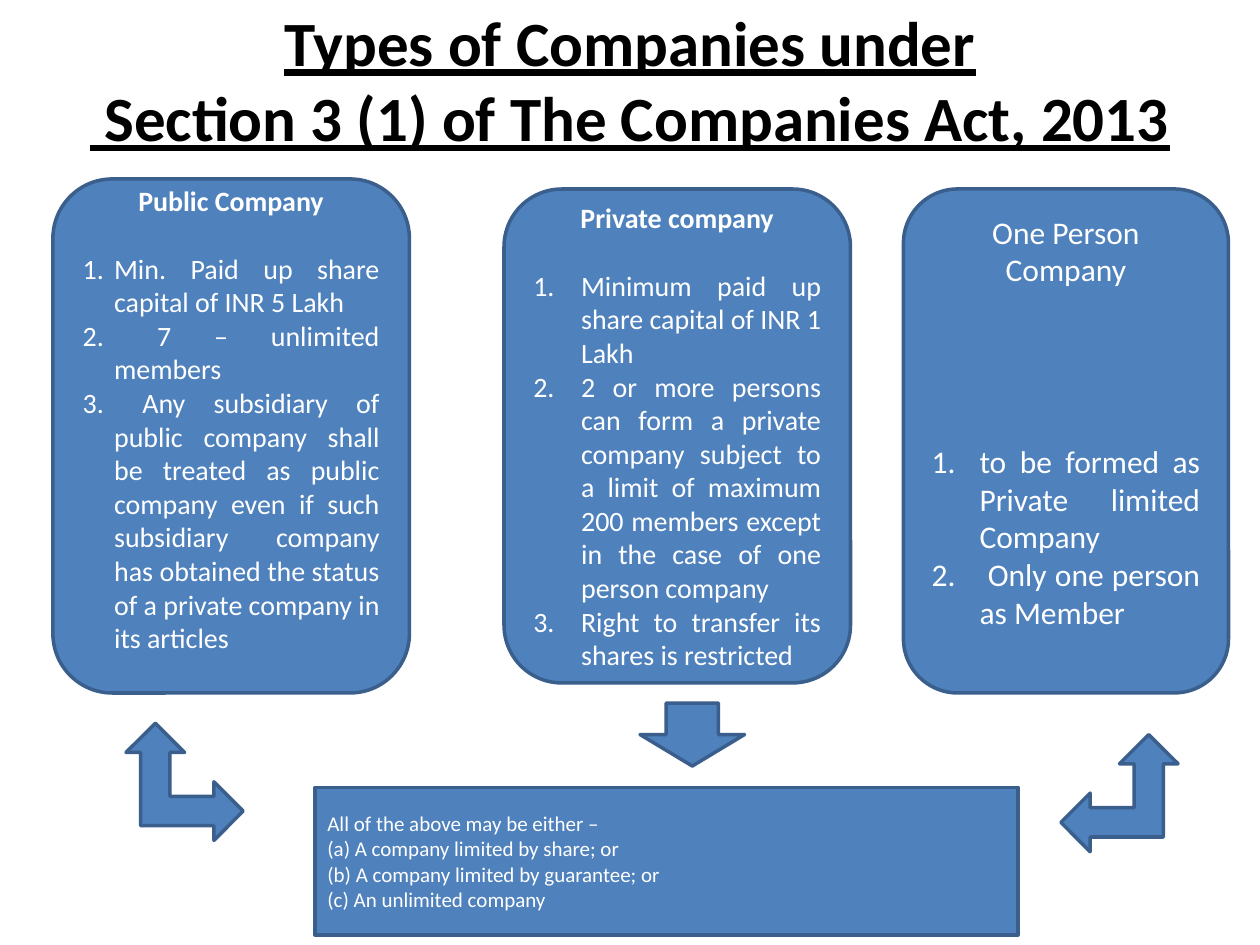
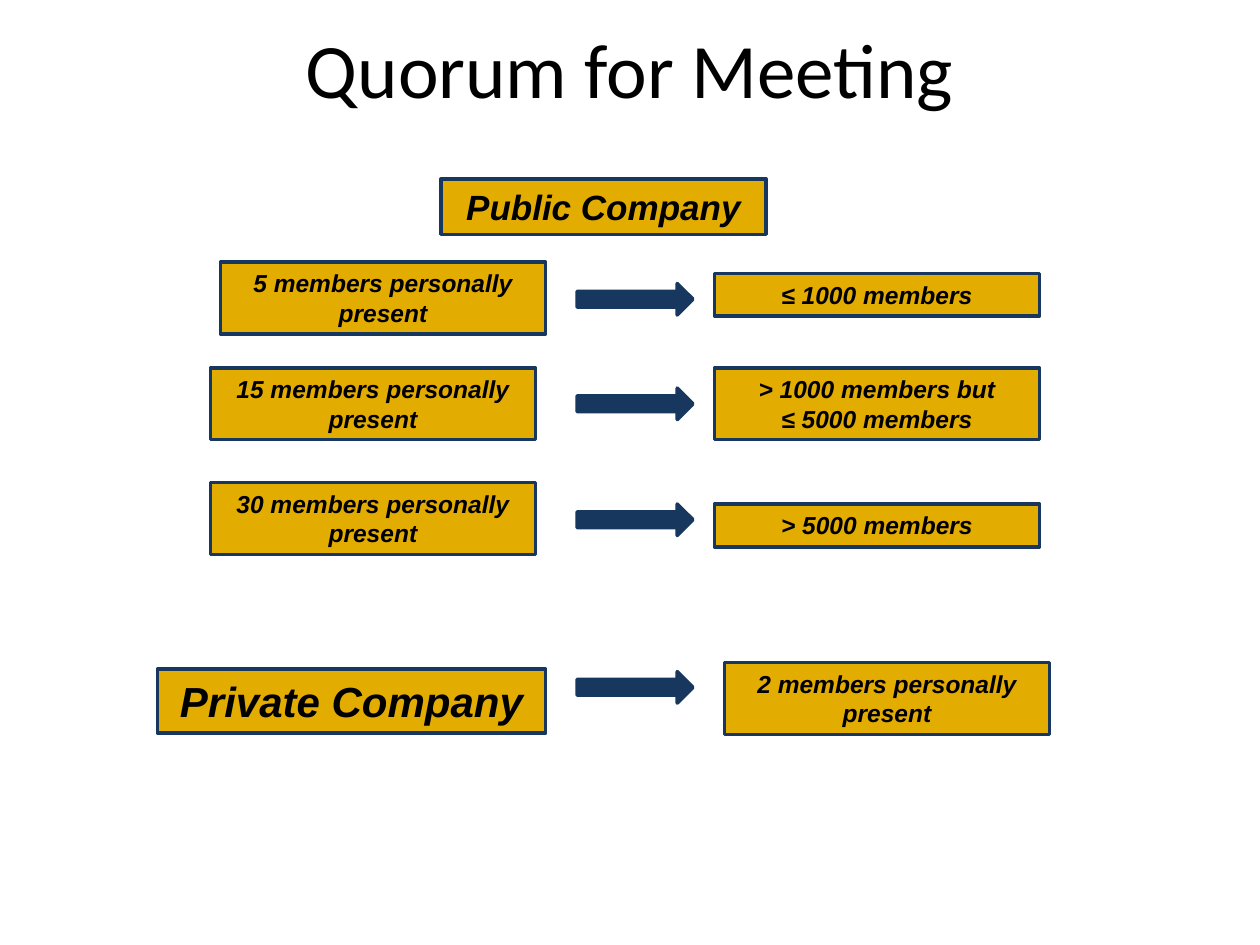
from lxml.etree import SubElement
from pptx import Presentation
from pptx.dml.color import RGBColor
from pptx.enum.shapes import MSO_SHAPE
from pptx.enum.text import MSO_ANCHOR, MSO_AUTO_SIZE, PP_ALIGN
from pptx.oxml.ns import qn
from pptx.util import Inches, Pt

BLACK, WHITE = "000000", "FFFFFF"
BLUE, BLUE_EDGE = "4F81BD", "3A5F8C"
GOLD, NAVY = "E2AC00", "17375E"
LINE_SPACING = 1.22


def color(value):
    """Turn a hex string into a colour."""
    return RGBColor.from_string(value)


def box(left, top, width, height):
    """Turn four numbers in inches into lengths."""
    return [Inches(v) for v in (left, top, width, height)]


def add_block(s, preset, at, fill, edge, rotation=0):
    """Add a filled and outlined preset shape."""
    sp = s.shapes.add_shape(preset, *box(*at))
    sp.shadow.inherit = False
    sp.fill.solid()
    sp.fill.fore_color.rgb = color(fill)
    sp.line.color.rgb = color(edge)
    sp.line.width = Pt(2)
    sp.rotation = rotation
    return sp


def write(tf, text, size=16, font="Calibri", ink=WHITE, bold=False, italic=False,
          underline=False, align=PP_ALIGN.CENTER, before=0, indent=0):
    """Append a paragraph, numbered when it has an indent."""
    tf.word_wrap = True
    p = tf.paragraphs[0]
    if p.runs:
        p = tf.add_paragraph()
    p.alignment = align
    p.space_before = Pt(before)
    if indent:
        pPr = p._p.get_or_add_pPr()
        pPr.set("marL", str(Inches(indent)))
        pPr.set("indent", str(-Inches(indent)))
        SubElement(pPr, qn("a:buAutoNum"), type="arabicPeriod")
    for i, line in enumerate(text.split("\n")):
        if i:
            p.add_line_break()
        r = p.add_run()
        r.text = line
        f = r.font
        f.name, f.size, f.color.rgb = font, Pt(size), color(ink)
        f.bold, f.italic, f.underline = bold, italic, underline


def add_title(s, at, text, **style):
    """Add the slide title in its box."""
    tf = s.shapes.add_textbox(*box(*at)).text_frame
    tf.vertical_anchor = MSO_ANCHOR.MIDDLE
    write(tf, text, ink=BLACK, **style)


def add_company_card(s, at, heading, items, indent, size=16, bold=True, gap=1, tail=0):
    """Add a rounded card; gap and tail count free text lines."""
    tf = add_block(s, MSO_SHAPE.ROUNDED_RECTANGLE, at, BLUE, BLUE_EDGE).text_frame
    tf.vertical_anchor = MSO_ANCHOR.MIDDLE
    line = size * LINE_SPACING
    tf.margin_bottom = Inches(0.05) + Pt(tail * line)
    write(tf, heading, size=size, bold=bold)
    for i, item in enumerate(items):
        write(tf, item, size=size, align=PP_ALIGN.JUSTIFY, indent=indent,
              before=0 if i else gap * line)


def add_liability_box(s, at, lines):
    """Add the summary box with left-aligned lines."""
    tf = add_block(s, MSO_SHAPE.RECTANGLE, at, BLUE, BLUE_EDGE).text_frame
    tf.vertical_anchor = MSO_ANCHOR.MIDDLE
    for line in lines:
        write(tf, line, size=12, align=PP_ALIGN.LEFT)


def add_label(s, at, *lines, size=14):
    """Add a gold label that fits its text."""
    tf = add_block(s, MSO_SHAPE.RECTANGLE, at, GOLD, NAVY).text_frame
    tf.vertical_anchor = MSO_ANCHOR.TOP
    tf.auto_size = MSO_AUTO_SIZE.SHAPE_TO_FIT_TEXT
    for line in lines:
        write(tf, line, size=size, font="Arial", ink=BLACK, bold=True, italic=True)


def build_types_slide(s):
    """Build the slide on the types of companies."""
    add_title(s, (0.5, 0, 9, 1.25),
              "Types of Companies under\n Section 3 (1) of The Companies Act, 2013",
              size=36, bold=True, underline=True)
    add_company_card(s, (0.42, 1.42, 2.83, 4.08), "Public Company", [
        "Min. Paid up share capital of INR 5 Lakh",
        " 7 – unlimited members",
        " Any subsidiary of public company shall be treated as public company even if "
        "such subsidiary company has obtained the status of a private company in its articles",
    ], indent=0.25, tail=1)
    add_company_card(s, (4, 1.5, 2.75, 3.92), "Private company", [
        "Minimum paid up share capital of INR 1 Lakh",
        "2 or more persons can form a private company subject to a limit of maximum "
        "200 members except in the case of one person company",
        "Right to transfer its shares is restricted",
    ], indent=0.38)
    add_company_card(s, (7.17, 1.5, 2.58, 4), "One Person Company", [
        "to be formed as Private limited Company",
        " Only one person as Member",
    ], indent=0.38, size=18, bold=False, gap=4, tail=1)
    add_liability_box(s, (2.5, 6.25, 5.58, 1.17), [
        "All of the above may be either –",
        "(a) A company limited by share; or",
        "(b) A company limited by guarantee; or",
        "(c) An unlimited company",
    ])
    for preset, at, rotation in (
        (MSO_SHAPE.DOWN_ARROW, (5.08, 5.58, 0.83, 0.5), 0),
        (MSO_SHAPE.LEFT_UP_ARROW, (1, 5.74, 0.93, 0.93), 90),
        (MSO_SHAPE.LEFT_UP_ARROW, (8.42, 5.83, 0.93, 0.93), 0),
    ):
        add_block(s, preset, at, BLUE, BLUE_EDGE, rotation)


def build_quorum_slide(s):
    """Build the slide on the quorum for a meeting."""
    width, one_line, two_lines = 2.58, 0.34, 0.57
    add_title(s, (0.5, 0.08, 9, 0.92), "Quorum for Meeting", size=44)
    add_label(s, (3.5, 1.42, width, 0.44), "Public Company", size=20)
    for quorum, left, top, members, members_top in (
        (5, 1.75, 2.08, ["≤ 1000 members"], 2.17),
        (15, 1.67, 2.92, ["> 1000 members but", "≤ 5000 members"], 2.92),
        (30, 1.67, 3.83, ["> 5000 members"], 4),
    ):
        height = two_lines if len(members) == 2 else one_line
        add_label(s, (left, top, width, two_lines), f"{quorum} members personally present")
        add_label(s, (5.67, members_top, width, height), *members)
    add_label(s, (1.25, 5.31, 3.08, 0.51), "Private Company", size=24)
    add_label(s, (5.75, 5.26, width, two_lines), "2 members personally present")
    for top in (2.25, 3.08, 4, 5.33):
        add_block(s, MSO_SHAPE.RIGHT_ARROW, (4.58, top, 0.92, 0.25), NAVY, NAVY)


def main():
    """Build and save the presentation."""
    prs = Presentation()
    prs.slide_width, prs.slide_height = Inches(10), Inches(7.5)
    for build in (build_types_slide, build_quorum_slide):
        build(prs.slides.add_slide(prs.slide_layouts[6]))
    prs.save("out.pptx")


if __name__ == "__main__":
    main()
